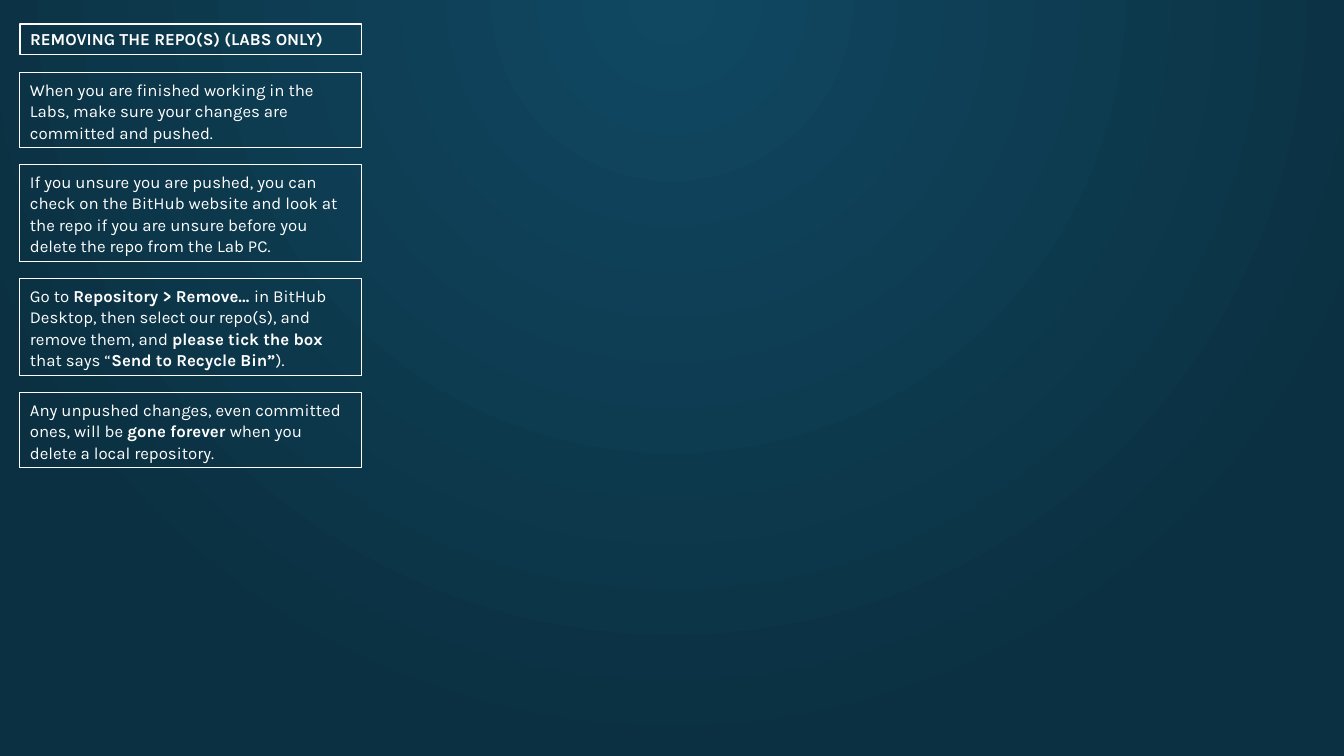
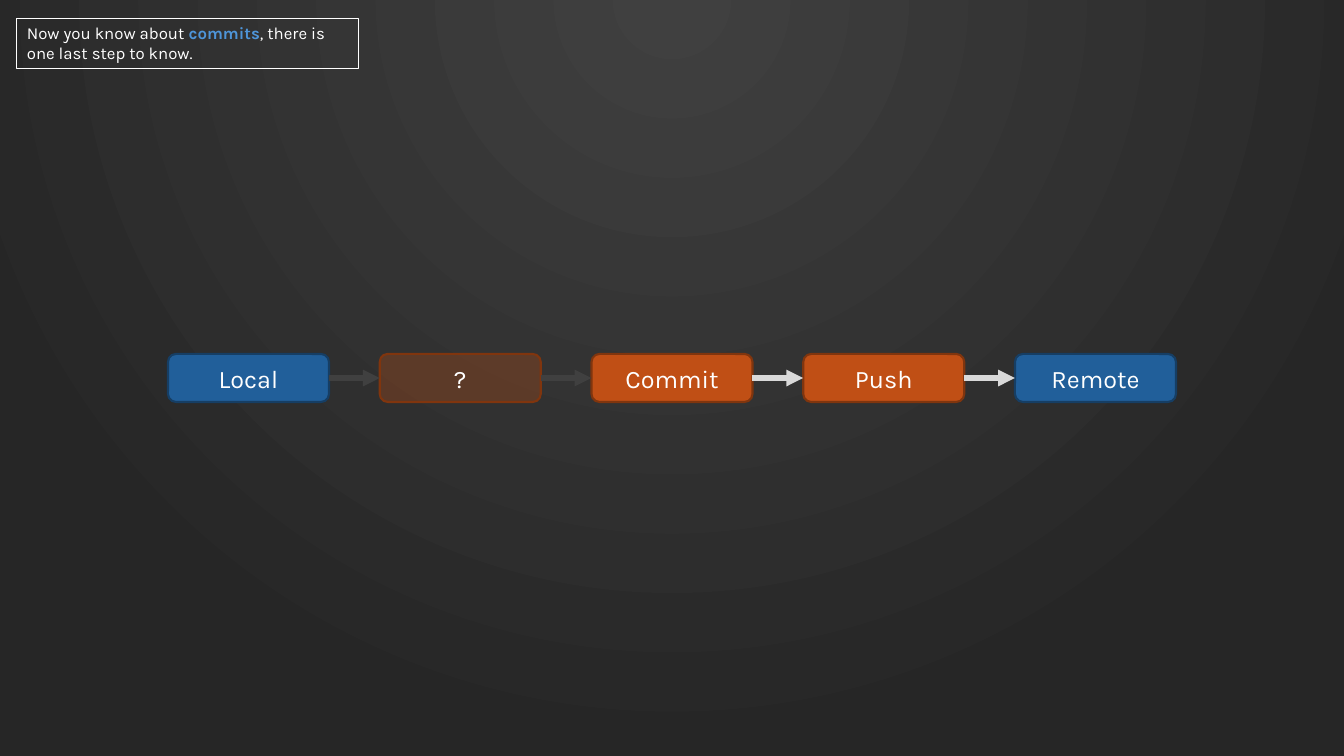
from lxml import etree
from pptx import Presentation
from pptx.dml.color import RGBColor
from pptx.enum.shapes import MSO_CONNECTOR, MSO_SHAPE
from pptx.enum.text import MSO_ANCHOR, MSO_AUTO_SIZE, PP_ALIGN
from pptx.oxml.ns import qn
from pptx.util import Emu, Pt

STRAIGHT = MSO_CONNECTOR.STRAIGHT
ROUNDED = MSO_SHAPE.ROUNDED_RECTANGLE
TOP, MIDDLE = MSO_ANCHOR.TOP, MSO_ANCHOR.MIDDLE
LEFT, CENTER = PP_ALIGN.LEFT, PP_ALIGN.CENTER
FIXED = MSO_AUTO_SIZE.NONE

EMU_PER_PX = 914400 / 100.8
SLIDE_W, SLIDE_H = 1344, 756
TITLE_ONLY, BLANK = 5, 6
RIGHT_SITE, LEFT_SITE = 3, 1

FONT = "Karla"
WHITE = "FFFFFF"
HIGHLIGHT = "4E95D9"
TEAL_BG = ("104862", "0B3041")
GREY_BG = ("404040", "262626")
BLUE = ("215F9A", "163E64")
ORANGE = ("C04F15", "80350E")
ARROW, ARROW_DIM = "D9D9D9", "404040"

BOX_W = 342
BOX_GAP = 17
NODE_W, NODE_H, NODE_TOP = 161, 48, 354
FLOW_LEFT, FLOW_RIGHT = 168, 1176

# Each box: height, then its runs as (text, bold)
NOTES = [
    (75, [("When you are finished working in the Labs, make sure your "
           "changes are committed and pushed.", False)]),
    (97, [("If you unsure you are pushed, you can check on the BitHub "
           "website and look at the repo if you are unsure before you "
           "delete the repo from the Lab PC.", False)]),
    (97, [("Go to ", False), ("Repository > Remove… ", True),
          ("in BitHub Desktop, then select our repo(s), and remove them, "
           "and ", False),
          ("please tick the box", True), (" that says “", False),
          ("Send to Recycle Bin”", True), (").", False)]),
    (75, [("Any unpushed changes, even committed ones, will be ", False),
          ("gone forever ", True),
          ("when you delete a local repository.", False)]),
]

# Each step: label, (fill, line), dimmed
STEPS = [
    ("Local", BLUE, False),
    ("?", ORANGE, True),
    ("Commit", ORANGE, False),
    ("Push", ORANGE, False),
    ("Remote", BLUE, False),
]


def px(n):
    return Emu(round(n * EMU_PER_PX))


def rgb(color):
    return RGBColor.from_string(color)


def sub(parent, tag, **attrs):
    return etree.SubElement(parent, qn(tag), attrs)


def set_background(s, colors):
    """Fill the slide with a circular gradient centred above its top edge."""
    fill = s.background.fill
    fill.gradient()
    for stop, color in zip(fill.gradient_stops, colors):
        stop.color.rgb = rgb(color)
    grad = s.element.find(".//" + qn("a:gradFill"))
    grad.remove(grad.find(qn("a:lin")))
    circle = sub(grad, "a:path", path="circle")
    sub(circle, "a:fillToRect", l="50000", t="-80000", r="50000", b="180000")


def set_line(line, color, width):
    line.color.rgb = rgb(color)
    line.width = Pt(width)


def style_paragraph(p, size, align=LEFT, bold=False):
    p.alignment = align
    p.font.name = FONT
    p.font.size = Pt(size)
    p.font.color.rgb = rgb(WHITE)
    p.font.bold = bold


def outline_box(sp, left, top, height, bold=False):
    """Place a text shape as a white-outlined box and return its paragraph."""
    sp.left, sp.top, sp.width, sp.height = map(px, (left, top, BOX_W, height))
    set_line(sp.line, WHITE, 0.75)
    tf = sp.text_frame
    tf.word_wrap = True
    tf.auto_size = FIXED
    tf.vertical_anchor = TOP
    p = tf.paragraphs[0]
    style_paragraph(p, 12, bold=bold)
    return p


def add_box(s, left, top, height, runs, bold_color=WHITE):
    p = outline_box(s.shapes.add_textbox(0, 0, 0, 0), left, top, height)
    for text, bold in runs:
        r = p.add_run()
        r.text = text
        if bold:
            r.font.bold = True
            r.font.color.rgb = rgb(bold_color)
    return p


def add_node(s, left, label, colors, dimmed):
    fill, line = colors
    sp = s.shapes.add_shape(ROUNDED, px(left), px(NODE_TOP), px(NODE_W),
                            px(NODE_H))
    sp.shadow.inherit = False
    sp.fill.solid()
    sp.fill.fore_color.rgb = rgb(fill)
    if dimmed:
        solid = sp.element.spPr.find(qn("a:solidFill"))
        sub(solid[0], "a:alpha", val="30000")
    set_line(sp.line, line, 1.5)
    tf = sp.text_frame
    tf.vertical_anchor = MIDDLE
    tf.text = label
    style_paragraph(tf.paragraphs[0], 18, CENTER)
    return sp


def add_arrow(s, start, end, color):
    c = s.shapes.add_connector(STRAIGHT, 0, 0, 0, 0)
    c.begin_connect(start, RIGHT_SITE)
    c.end_connect(end, LEFT_SITE)
    set_line(c.line, color, 4)
    ln = c.element.spPr.find(qn("a:ln"))
    sub(ln, "a:tailEnd", type="triangle")
    sub(c.element.spPr, "a:effectLst")


def add_slide(prs, layout, background):
    s = prs.slides.add_slide(prs.slide_layouts[layout])
    set_background(s, background)
    return s


def build_removing_repos(prs):
    s = add_slide(prs, TITLE_ONLY, TEAL_BG)
    title = s.shapes.title
    title.text_frame.text = "REMOVING THE REPO(S) (LABS ONLY)"
    outline_box(title, 20, 24, 31, bold=True)
    top = 73
    for height, runs in NOTES:
        p = add_box(s, 20, top, height, runs)
        p.line_spacing = 1.07
        p.space_after = Pt(8)
        top += height + BOX_GAP


def build_commit_flow(prs):
    s = add_slide(prs, BLANK, GREY_BG)
    pitch = (FLOW_RIGHT - FLOW_LEFT - NODE_W) / (len(STEPS) - 1)
    nodes = [add_node(s, FLOW_LEFT + i * pitch, *step)
             for i, step in enumerate(STEPS)]
    for i in range(len(nodes) - 1):
        dimmed = STEPS[i][2] or STEPS[i + 1][2]
        add_arrow(s, nodes[i], nodes[i + 1], ARROW_DIM if dimmed else ARROW)
    add_box(s, 17, 18, 51, [("Now you know about ", False),
                            ("commits", True),
                            (", there is one last step to know.", False)],
            HIGHLIGHT)


def main():
    prs = Presentation()
    prs.slide_width, prs.slide_height = px(SLIDE_W), px(SLIDE_H)
    build_removing_repos(prs)
    build_commit_flow(prs)
    prs.save("out.pptx")


if __name__ == "__main__":
    main()
